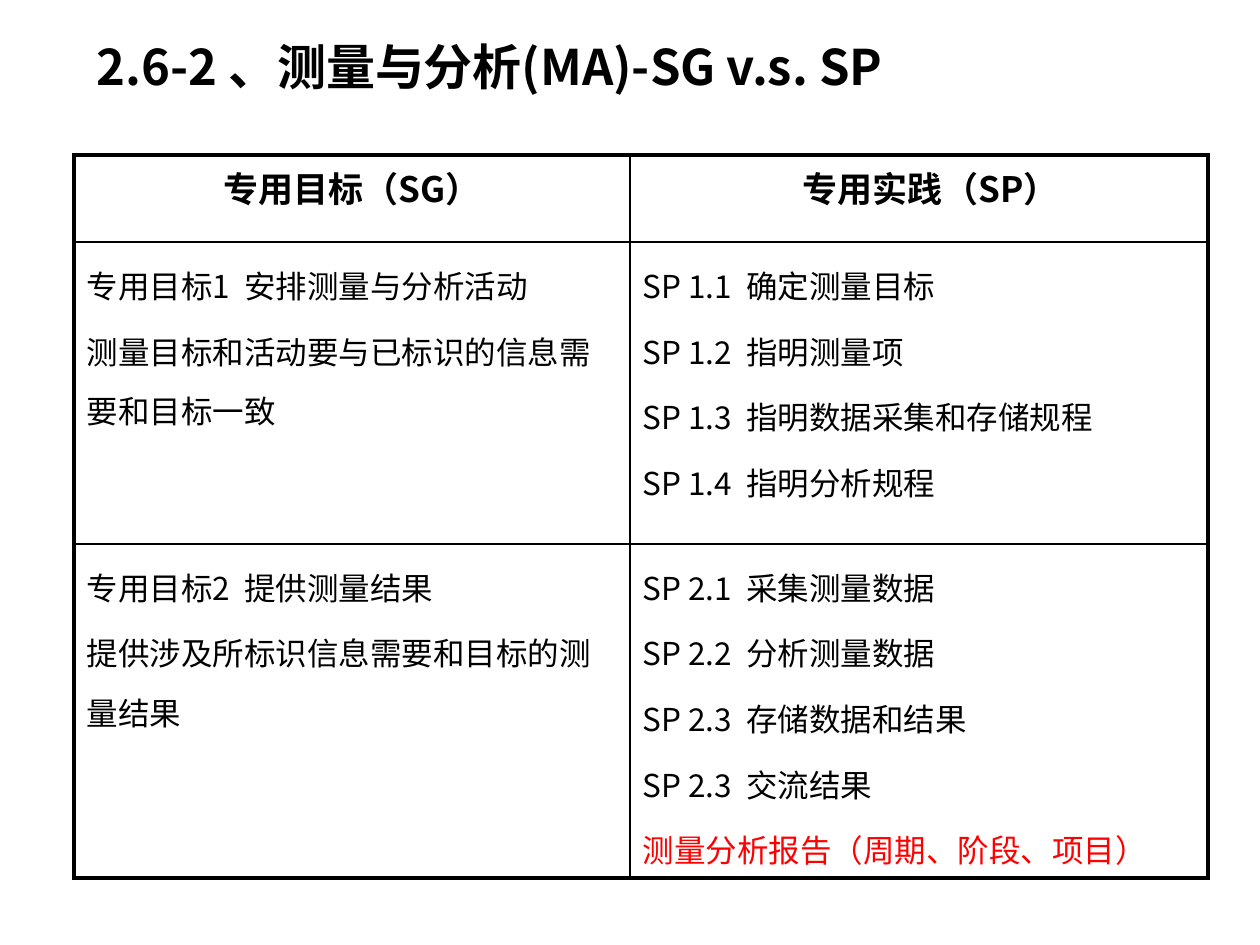
from lxml import etree
from pptx import Presentation, util as u
from pptx.dml.color import RGBColor
from pptx.enum import text
from pptx.oxml import ns

# Content
TITLE = "2.6-2 、测量与分析(MA)-SG v.s. SP"
HEADERS = ["专用目标（SG）", "专用实践（SP）"]
GOALS = [
    (["专用目标1  安排测量与分析活动",
      "测量目标和活动要与已标识的信息需要和目标一致"],
     ["SP 1.1  确定测量目标", "SP 1.2  指明测量项",
      "SP 1.3  指明数据采集和存储规程", "SP 1.4  指明分析规程"]),
    (["专用目标2  提供测量结果",
      "提供涉及所标识信息需要和目标的测量结果"],
     ["SP 2.1  采集测量数据", "SP 2.2  分析测量数据",
      "SP 2.3  存储数据和结果", "SP 2.3  交流结果",
      "测量分析报告（周期、阶段、项目）"]),
]
REPORT = GOALS[-1][1][-1]

# Format
FONT = "Noto Sans CJK SC"
COLORS = {"ink": "000000", "accent": "FF0000"}
TITLE_FORMAT = {"size": u.Pt(28), "bold": True}
HEADER_FORMAT = {"size": u.Pt(20), "bold": True}
BODY_FORMAT = {"size": u.Pt(18), "bold": False}
HEADER_SPACING = {"alignment": text.PP_ALIGN.CENTER, "space_before": u.Pt(4)}
BODY_SPACING = {"alignment": text.PP_ALIGN.LEFT, "space_before": u.Pt(3.6),
                "line_spacing": 1.3}
OUTER, INNER = u.Pt(2.25), u.Pt(1)

# Layout in px
PX = u.Inches(1) / 126
TITLE_BOX = (84, 16, 1113, 100)
TABLE_LEFT, TABLE_TOP = 74, 155
COLUMNS = [556, 578]
ROWS = [87, 302, 256]
PRACTICE_HEADER_INSET = 36


def px(length):
    return u.Emu(round(length * PX))


def write(paragraph, words, font_format, spacing, color="ink"):
    for name, value in spacing.items():
        setattr(paragraph, name, value)
    run = paragraph.add_run()
    run.text = words
    for name, value in {"name": FONT, **font_format}.items():
        setattr(run.font, name, value)
    run.font.color.rgb = RGBColor.from_string(COLORS[color])
    etree.SubElement(run.font._element, ns.qn("a:ea"), typeface=FONT)


def draw_borders(cell, row, column):
    outer_sides = {"L": column == 0, "R": column == len(COLUMNS) - 1,
                   "T": row == 0, "B": row == len(ROWS) - 1}
    properties = cell._tc.get_or_add_tcPr()
    for side, is_outer in outer_sides.items():
        line = etree.SubElement(properties, ns.qn("a:ln" + side),
                                w=str(int(OUTER if is_outer else INNER)))
        fill = etree.SubElement(line, ns.qn("a:solidFill"))
        etree.SubElement(fill, ns.qn("a:srgbClr"), val=COLORS["ink"])


def main():
    deck = Presentation()
    deck.slide_width, deck.slide_height = px(1260), px(945)
    slide = deck.slides.add_slide(deck.slide_layouts[5])

    # Title
    title = slide.shapes.title
    title.left, title.top, title.width, title.height = map(px, TITLE_BOX)
    title.text_frame.vertical_anchor = text.MSO_ANCHOR.MIDDLE
    write(title.text_frame.paragraphs[0], TITLE, TITLE_FORMAT,
          {"alignment": text.PP_ALIGN.LEFT})

    # Table grid
    table = slide.shapes.add_table(
        len(ROWS), len(COLUMNS), px(TABLE_LEFT), px(TABLE_TOP),
        px(sum(COLUMNS)), px(sum(ROWS))).table
    table.first_row = table.horz_banding = False
    for column, width in zip(table.columns, COLUMNS):
        column.width = px(width)
    for row, height in zip(table.rows, ROWS):
        row.height = px(height)

    # Goals and their practices
    contents = [[[header] for header in HEADERS], *GOALS]
    for r, row in enumerate(contents):
        formats = (BODY_FORMAT, BODY_SPACING) if r else (HEADER_FORMAT, HEADER_SPACING)
        for c, lines in enumerate(row):
            cell = table.cell(r, c)
            draw_borders(cell, r, c)
            cell.fill.background()
            frame = cell.text_frame
            for i, words in enumerate(lines):
                paragraph = frame.add_paragraph() if i else frame.paragraphs[0]
                write(paragraph, words, *formats,
                      color="accent" if words == REPORT else "ink")
    table.cell(0, 1).margin_left = px(PRACTICE_HEADER_INSET)

    deck.save("out.pptx")


if __name__ == "__main__":
    main()
